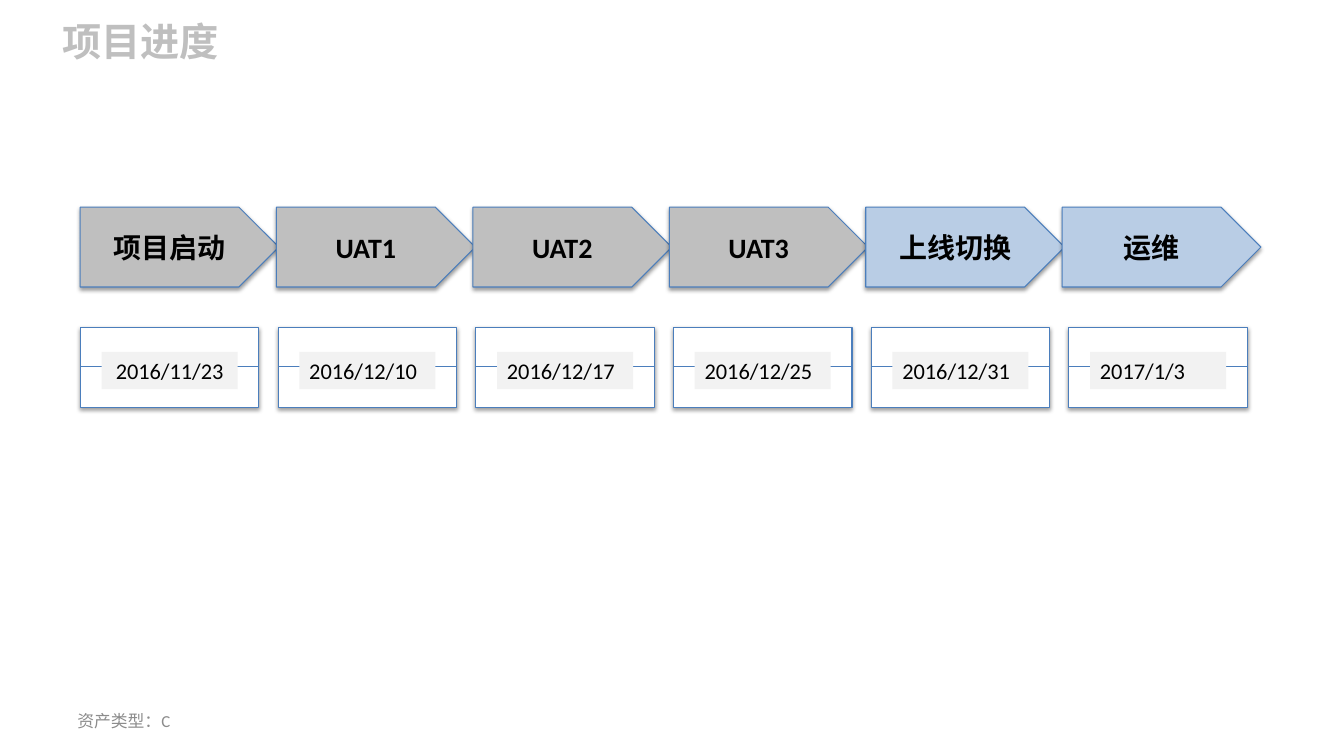
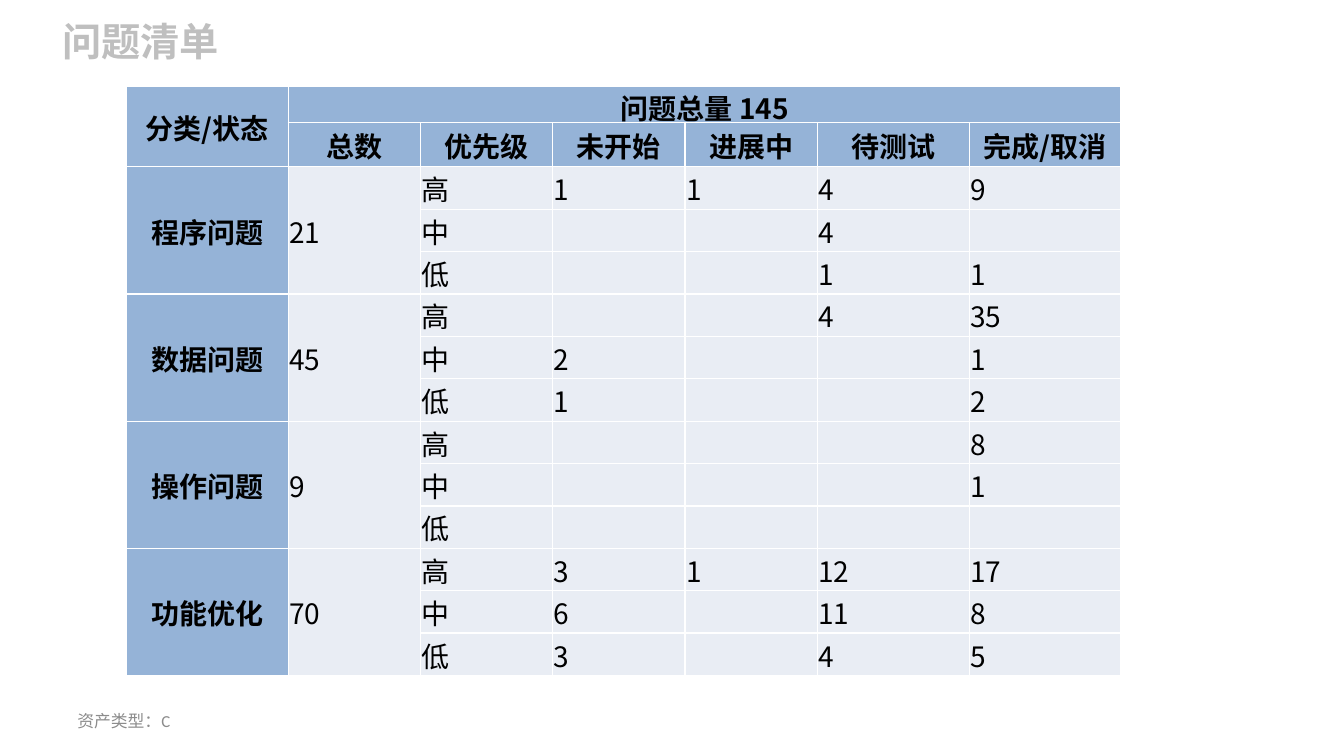
import dataclasses

import lxml.etree
import pptx
import pptx.dml.color
import pptx.enum.shapes
import pptx.enum.text
import pptx.oxml.ns
import pptx.util

Pt = pptx.util.Pt
qn = pptx.oxml.ns.qn
Align = pptx.enum.text.PP_ALIGN
Anchor = pptx.enum.text.MSO_ANCHOR
Shape = pptx.enum.shapes.MSO_SHAPE


@dataclasses.dataclass(frozen=True)
class Theme:
    latin_font: str = "Calibri"
    chinese_font: str = "Noto Sans CJK SC"
    text: str = "000000"
    title: str = "BFBFBF"
    footer: str = "8C8C8C"
    outline: str = "4B7EBC"
    done: str = "BFBFBF"
    planned: str = "B9CDE5"
    card: str = "FFFFFF"
    date_label: str = "F2F2F2"
    table_head: str = "95B3D7"
    table_body: str = "E9EDF4"
    table_border: str = "FFFFFF"
    title_size: int = 28
    main_size: int = 20
    date_size: int = 16
    footer_size: int = 12


THEME = Theme()

STAGES = [
    ("项目启动", "2016/11/23", THEME.done),
    ("UAT1", "2016/12/10", THEME.done),
    ("UAT2", "2016/12/17", THEME.done),
    ("UAT3", "2016/12/25", THEME.done),
    ("上线切换", "2016/12/31", THEME.planned),
    ("运维", "2017/1/3", THEME.planned),
]

ISSUE_COLUMNS = ["总数", "优先级", "未开始", "进展中", "待测试", "完成/取消"]
PRIORITIES = ["高", "中", "低"]
# Category, total, then one row of status counts per priority.
ISSUES = [
    ("程序问题", "21", [("1", "1", "4", "9"), ("", "", "4", ""), ("", "", "1", "1")]),
    ("数据问题", "45", [("", "", "4", "35"), ("2", "", "", "1"), ("1", "", "", "2")]),
    ("操作问题", "9", [("", "", "", "8"), ("", "", "", "1"), ("", "", "", "")]),
    ("功能优化", "70", [("3", "1", "12", "17"), ("6", "", "11", "8"), ("3", "", "4", "5")]),
]
COLUMN_WIDTHS = [115.5] + [94.5] * 4 + [108.5] * 2
ROW_HEIGHTS = [26.4, 31.4] + [30.3] * 12


def rgb(color):
    return pptx.dml.color.RGBColor.from_string(color)


def write(frame, text, size, color=THEME.text, bold=False, align=Align.LEFT,
          latin_font=THEME.latin_font):
    para = frame.paragraphs[0]
    para.alignment = align
    span = para.add_run()
    span.text = text
    span.font.size = Pt(size)
    span.font.bold = bold
    span.font.name = latin_font
    span.font.color.rgb = rgb(color)
    east_asian = lxml.etree.Element(qn("a:ea"), typeface=THEME.chinese_font)
    span.font._element.find(qn("a:latin")).addnext(east_asian)


def add_text(slide, place, text, size, color, bold=False, anchor=Anchor.TOP):
    box = slide.shapes.add_textbox(*map(Pt, place))
    box.text_frame.word_wrap = True
    box.text_frame.vertical_anchor = anchor
    write(box.text_frame, text, size, color, bold)


def add_block(shapes, kind, place, fill, raised=True):
    """Add a filled shape; a raised one has an outline and a soft shadow."""
    block = shapes.add_shape(kind, *map(Pt, place))
    block.fill.solid()
    block.fill.fore_color.rgb = rgb(fill)
    block.shadow.inherit = False
    block.text_frame.word_wrap = True
    block.text_frame.vertical_anchor = Anchor.MIDDLE
    if not raised:
        block.line.fill.background()
        return block
    block.line.color.rgb = rgb(THEME.outline)
    block.line.width = Pt(0.75)
    effects = block._element.spPr.find(qn("a:effectLst"))
    shadow = lxml.etree.SubElement(
        effects, qn("a:outerShdw"), blurRad=str(Pt(3.1)), dist=str(Pt(1.6)),
        dir="5400000", rotWithShape="0")
    color = lxml.etree.SubElement(shadow, qn("a:srgbClr"), val="000000")
    lxml.etree.SubElement(color, qn("a:alpha"), val="38000")
    return block


def add_rule(shapes, left, right, top):
    rule = shapes.add_connector(pptx.enum.shapes.MSO_CONNECTOR.STRAIGHT,
                                Pt(left), Pt(top), Pt(right), Pt(top))
    rule.line.color.rgb = rgb(THEME.outline)
    rule.line.width = Pt(0.75)
    lxml.etree.SubElement(rule._element.spPr, qn("a:effectLst"))


def add_stage(slide, left, name, fill):
    arrow = add_block(slide.shapes, Shape.PENTAGON, (left, 148, 142, 57), fill)
    write(arrow.text_frame, name, THEME.main_size, bold=True, align=Align.CENTER)


def add_date_card(slide, left, date, align):
    top, width, height = 234, 127.6, 57
    group = slide.shapes.add_group_shape()
    add_block(group.shapes, Shape.RECTANGLE, (left, top, width, height), THEME.card)
    add_rule(group.shapes, left, left + width, top + height / 2 - 0.5)
    label = add_block(group.shapes, Shape.RECTANGLE, (left + 15.2, 251.4, 97.2, 26.6),
                      THEME.date_label, raised=False)
    write(label.text_frame, date, THEME.date_size, align=align)


def style_cell(cell, fill):
    cell.margin_left = cell.margin_top = cell.margin_right = Pt(0.75)
    cell.margin_bottom = 0
    cell.vertical_anchor = Anchor.MIDDLE
    cell.fill.solid()
    cell.fill.fore_color.rgb = rgb(fill)
    properties = cell._tc.get_or_add_tcPr()
    for position, side in enumerate(("a:lnL", "a:lnR", "a:lnT", "a:lnB")):
        border = lxml.etree.Element(qn(side), w=str(Pt(1)))
        solid = lxml.etree.SubElement(border, qn("a:solidFill"))
        lxml.etree.SubElement(solid, qn("a:srgbClr"), val=THEME.table_border)
        properties.insert(position, border)


def issue_rows():
    """Lay the issues out as a full grid, with blanks under merged cells."""
    rows = [["分类/状态", "问题总量 145"] + [""] * 5, [""] + ISSUE_COLUMNS]
    for category, total, counts in ISSUES:
        for index, (priority, values) in enumerate(zip(PRIORITIES, counts)):
            lead = [category, total] if index == 0 else ["", ""]
            rows.append(lead + [priority, *values])
    return rows


def add_issue_table(slide):
    rows = issue_rows()
    frame = slide.shapes.add_table(
        len(rows), len(COLUMN_WIDTHS), Pt(90.4), Pt(61.4),
        Pt(sum(COLUMN_WIDTHS)), Pt(sum(ROW_HEIGHTS)))
    table = frame.table
    table.first_row = table.horz_banding = False
    for column, width in zip(table.columns, COLUMN_WIDTHS):
        column.width = Pt(width)
    for row, height in zip(table.rows, ROW_HEIGHTS):
        row.height = Pt(height)
    for r, values in enumerate(rows):
        for c, text in enumerate(values):
            head = r < 2 or c == 0
            cell = table.cell(r, c)
            style_cell(cell, THEME.table_head if head else THEME.table_body)
            if text:
                write(cell.text_frame, text, THEME.main_size, bold=head,
                      align=Align.CENTER if head else Align.LEFT,
                      latin_font=THEME.chinese_font)
    table.cell(0, 0).merge(table.cell(1, 0))
    table.cell(0, 1).merge(table.cell(0, 6))
    for top in range(2, len(rows), len(PRIORITIES)):
        for c in (0, 1):
            table.cell(top, c).merge(table.cell(top + len(PRIORITIES) - 1, c))


def add_page(deck, title):
    page = deck.slides.add_slide(deck.slide_layouts[6])
    add_text(page, (37.4, 8.6, 718.6, 41), title, THEME.title_size, THEME.title, bold=True)
    add_text(page, (48.2, 500.4, 224, 28.8), "资产类型：C", THEME.footer_size,
             THEME.footer, anchor=Anchor.MIDDLE)
    return page


def build_schedule(deck):
    page = add_page(deck, "项目进度")
    for index, (name, date, fill) in enumerate(STAGES):
        add_stage(page, 57.2 + 140.3 * index, name, fill)
        add_date_card(page, 57.4 + 141.2 * index, date,
                      Align.CENTER if index == 0 else Align.LEFT)


def build_issue_list(deck):
    add_issue_table(add_page(deck, "问题清单"))


def main():
    deck = pptx.Presentation()
    deck.slide_width, deck.slide_height = Pt(960), Pt(540)
    build_schedule(deck)
    build_issue_list(deck)
    deck.save("out.pptx")


if __name__ == "__main__":
    main()
